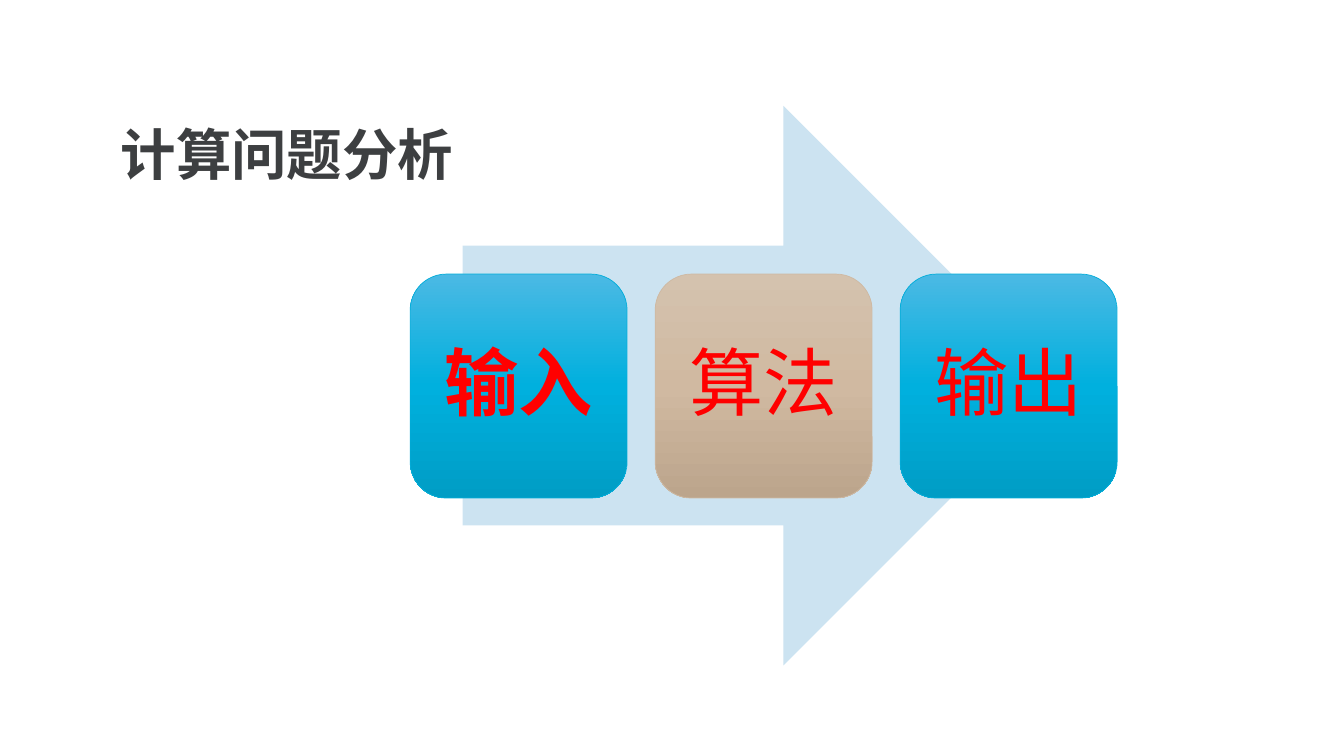
"""Build a slide showing input, algorithm and output along a broad arrow."""
from copy import deepcopy

from pptx import Presentation
from pptx.dml.color import RGBColor
from pptx.enum.shapes import MSO_SHAPE
from pptx.enum.text import MSO_ANCHOR, MSO_AUTO_SIZE, PP_ALIGN
from pptx.oxml.ns import qn
from pptx.util import Pt

RIGHT_ARROW = MSO_SHAPE.RIGHT_ARROW
ROUNDED_RECTANGLE = MSO_SHAPE.ROUNDED_RECTANGLE
MIDDLE, BOTTOM = MSO_ANCHOR.MIDDLE, MSO_ANCHOR.BOTTOM
CENTER, RIGHT = PP_ALIGN.CENTER, PP_ALIGN.RIGHT
NO_AUTOFIT = MSO_AUTO_SIZE.NONE

RED = RGBColor(0xFF, 0x00, 0x00)
DARK_GREY = RGBColor(0x3D, 0x3F, 0x41)
PALE_BLUE = RGBColor(0xCC, 0xE3, 0xF1)
BLUE_LINE = RGBColor(0x04, 0xAE, 0xDA)
TAN_LINE = RGBColor(0xCE, 0xB9, 0xA3)
BLUE_GRADIENT = (RGBColor(0x4B, 0xB9, 0xE4), RGBColor(0x00, 0xB0, 0xDE),
                 RGBColor(0x00, 0x9D, 0xC5))
TAN_GRADIENT = (RGBColor(0xD4, 0xC2, 0xAE), RGBColor(0xD0, 0xB9, 0xA1),
                RGBColor(0xBC, 0xA5, 0x8C))

STEPS = [("输入", BLUE_GRADIENT, BLUE_LINE, True),
         ("算法", TAN_GRADIENT, TAN_LINE, False),
         ("输出", BLUE_GRADIENT, BLUE_LINE, False)]
STEP_LEFT, STEP_PITCH = 293, 175


class ProcessSlide:
    """Hold the slide and its text style."""

    def __init__(self, slide):
        self.slide = slide
        self.title_font, self.title_size = "Arial", 39.6
        self.step_font, self.step_size = "Calibri", 53
        self.step_inset = 16

    def set_text(self, shape, text, anchor, alignment, name, size, color, bold):
        """Put one formatted paragraph into a shape."""
        frame = shape.text_frame
        frame.text = text
        frame.word_wrap = True
        frame.auto_size = NO_AUTOFIT
        frame.vertical_anchor = anchor
        paragraph = frame.paragraphs[0]
        paragraph.alignment = alignment
        font = paragraph.runs[0].font
        font.name, font.size, font.bold = name, Pt(size), bold
        font.color.rgb = color

    def title(self, text, left, top, width, height):
        """Place the title in its placeholder."""
        shape = self.slide.shapes.title
        shape.left, shape.top = Pt(left), Pt(top)
        shape.width, shape.height = Pt(width), Pt(height)
        self.set_text(shape, text, BOTTOM, RIGHT, self.title_font,
                      self.title_size, DARK_GREY, True)

    def shape(self, kind, left, top, width, height):
        """Add a preset shape without a shadow."""
        shape = self.slide.shapes.add_shape(
            kind, Pt(left), Pt(top), Pt(width), Pt(height))
        shape.shadow.inherit = False
        return shape

    def arrow(self, left, top, width, height):
        """Add the broad background arrow."""
        arrow = self.shape(RIGHT_ARROW, left, top, width, height)
        arrow.fill.solid()
        arrow.fill.fore_color.rgb = PALE_BLUE
        arrow.line.fill.background()

    def gradient(self, shape, colors):
        """Fill a shape from top to bottom with evenly spaced colours."""
        fill = shape.fill
        fill.gradient()
        fill.gradient_angle = 270
        stop_list = shape.element.spPr.find(qn("a:gradFill")).find(qn("a:gsLst"))
        stop_list.append(deepcopy(stop_list[-1]))
        for index, (stop, color) in enumerate(zip(fill.gradient_stops, colors)):
            stop.position = index / (len(colors) - 1)
            stop.color.rgb = color

    def step(self, text, left, top, width, height, colors, line_color, bold):
        """Add one rounded step box with its label."""
        box = self.shape(ROUNDED_RECTANGLE, left, top, width, height)
        self.gradient(box, colors)
        box.line.color.rgb = line_color
        box.line.width = Pt(0.5)
        self.set_text(box, text, MIDDLE, CENTER, self.step_font,
                      self.step_size, RED, bold)
        frame = box.text_frame
        frame.margin_left = frame.margin_right = Pt(self.step_inset)
        frame.margin_top = frame.margin_bottom = Pt(self.step_inset)
        frame.paragraphs[0].line_spacing = 0.9


def main():
    """Create and save the presentation."""
    presentation = Presentation()
    presentation.slide_width, presentation.slide_height = Pt(960), Pt(540)
    slide = presentation.slides.add_slide(presentation.slide_layouts[5])
    process = ProcessSlide(slide)
    process.arrow(330.5, 75.6, 429, 399.6)
    for index, (text, colors, line_color, bold) in enumerate(STEPS):
        process.step(text, STEP_LEFT + index * STEP_PITCH, 195.8, 155, 160,
                     colors, line_color, bold)
    process.title("计算问题分析", -330.5, 83.5, 661.5, 53.3)
    presentation.save("out.pptx")


if __name__ == "__main__":
    main()
